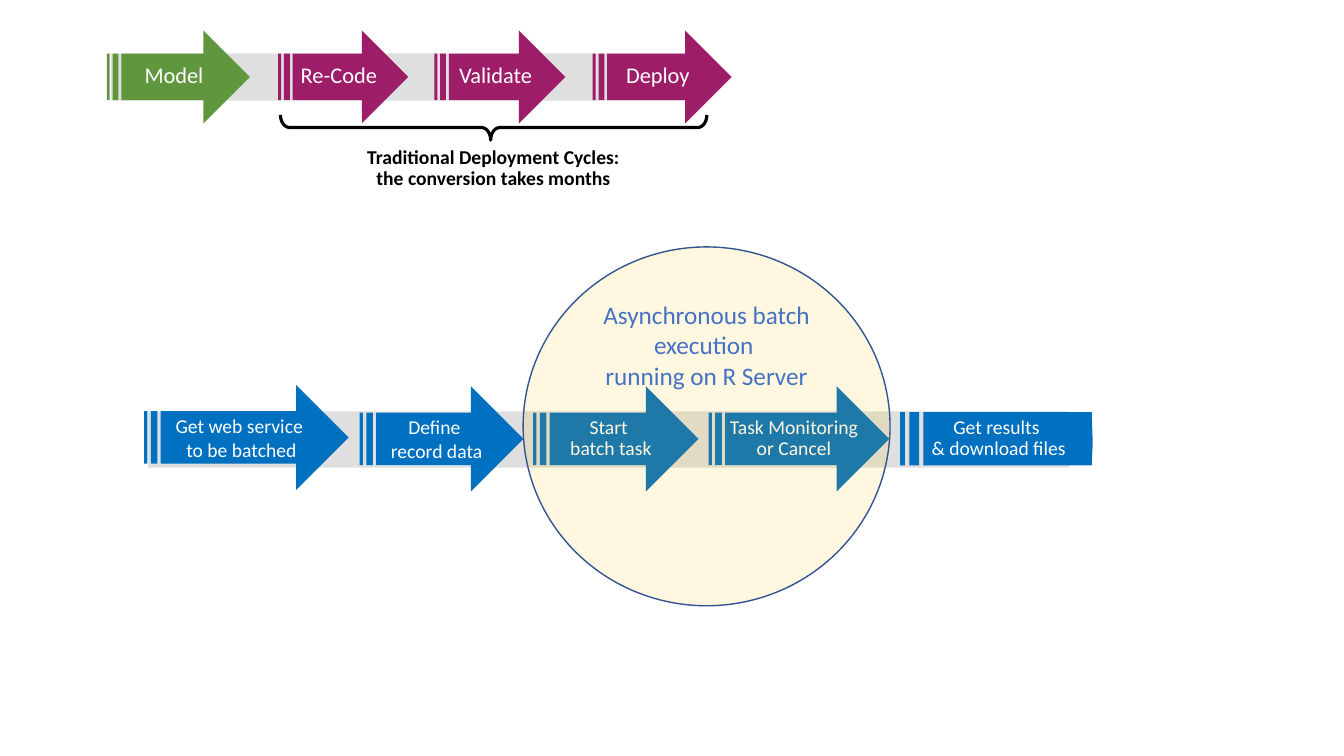
from pptx import Presentation
from pptx.dml.color import RGBColor
from pptx.enum.shapes import MSO_SHAPE
from pptx.enum.text import MSO_ANCHOR, MSO_AUTO_SIZE, PP_ALIGN
from pptx.oxml.ns import qn
from pptx.util import Pt

GREEN, PURPLE, BLUE, GREY = "60963D", "9D1D69", "0070C0", "BFBFBF"
WHITE, BLACK, GOLD, NAVY, INDIGO = "FFFFFF", "000000", "FFC000", "325491", "4472C4"


def colour(value):
    return RGBColor.from_string(value)


class Diagram:
    """Draws flow elements on a slide; all lengths are in points."""

    font = "Calibri"

    def __init__(self, slide):
        self.slide = slide
        self.target = slide.shapes

    def start_group(self):
        self.target = self.slide.shapes.add_group_shape().shapes

    def end_group(self):
        self.target = self.slide.shapes

    def paint(self, shape, fill=None, opacity=100, line=None, weight=1):
        shape.shadow.inherit = False
        if fill:
            shape.fill.solid()
            shape.fill.fore_color.rgb = colour(fill)
            if opacity < 100:
                hue = shape.element.spPr.find(qn("a:solidFill"))[0]
                alpha = hue.makeelement(qn("a:alpha"), {"val": str(opacity * 1000)})
                hue.append(alpha)
        else:
            shape.fill.background()
        if line:
            shape.line.color.rgb = colour(line)
            shape.line.width = Pt(weight)
        else:
            shape.line.fill.background()

    def preset(self, kind, box, **paint):
        shape = self.target.add_shape(kind, *map(Pt, box))
        self.paint(shape, **paint)
        return shape

    def label(self, shape, text, size, ink=WHITE, margins=(0, 0, 0, 0),
              anchor=MSO_ANCHOR.MIDDLE, spacing=None, bold=None, after=None):
        frame = shape.text_frame
        frame.word_wrap = True
        frame.vertical_anchor = anchor
        (frame.margin_left, frame.margin_top,
         frame.margin_right, frame.margin_bottom) = map(Pt, margins)
        frame.text = text
        for paragraph in frame.paragraphs:
            paragraph.alignment = PP_ALIGN.CENTER
            paragraph.line_spacing = spacing
            if after is not None:
                paragraph.space_after = Pt(after)
            font = paragraph.font
            font.name, font.size, font.bold = self.font, Pt(size), bold
            font.color.rgb = colour(ink)

    def band(self, *box):
        self.preset(MSO_SHAPE.RECTANGLE, box, fill=GREY, opacity=49)

    def arrow(self, box, fill, text, size, **style):
        step = self.preset(MSO_SHAPE.STRIPED_RIGHT_ARROW, box, fill=fill)
        self.label(step, text, size, **style)

    def brace(self, box, adjustments):
        brace = self.preset(MSO_SHAPE.RIGHT_BRACE, box, line=BLACK, weight=2.25)
        brace.rotation = 90
        for index, value in enumerate(adjustments):
            brace.adjustments[index] = value

    def caption(self, box, text, size, **style):
        caption = self.target.add_textbox(*map(Pt, box))
        self.label(caption, text, size, **style)
        caption.text_frame.auto_size = MSO_AUTO_SIZE.SHAPE_TO_FIT_TEXT

    def outline(self, contours, fill, text, size, **style):
        """Draw one shape made of several closed contours."""
        points = [[(Pt(x), Pt(y)) for x, y in contour] for contour in contours]
        builder = self.target.build_freeform(*points[0][0], scale=1.0)
        for index, (start, *rest) in enumerate(points):
            if index:
                builder.move_to(*start)
            builder.add_line_segments(rest, close=True)
        shape = builder.convert_to_shape()
        self.paint(shape, fill=fill)
        self.label(shape, text, size, **style)

    def circle(self, box, text, size, **style):
        circle = self.preset(MSO_SHAPE.OVAL, box, fill=GOLD, opacity=12, line=NAVY)
        self.label(circle, text, size, **style)


def draw_traditional_cycle(diagram):
    diagram.band(79.2, 38.2, 414, 33.8)
    for step, left, width, fill in (
        ("Model", 76.3, 102.2, GREEN),
        ("Re-Code", 198.7, 92.9, PURPLE),
        ("Validate", 310.3, 93.6, PURPLE),
        ("Deploy", 423.4, 99.2, PURPLE),
    ):
        diagram.arrow((left, 21.8, width, 66.4), fill, step, 16, spacing=0.9,
                      margins=(0, 7.2, 0, 11.5), anchor=MSO_ANCHOR.TOP)
    diagram.brace((343.6, -61.2, 18, 304.6), (0.362, 0.507))
    diagram.caption((200.2, 93.6, 304.6, 53.3),
                    "Traditional Deployment Cycles:\vthe conversion takes months",
                    14, ink=BLACK, margins=(14.4, 11.5, 14.4, 11.5),
                    anchor=MSO_ANCHOR.TOP, spacing=0.9, bold=True, after=5.9)


def draw_batch_flow(diagram):
    diagram.start_group()
    diagram.band(105.8, 293.8, 658, 40.3)
    for step, left, top, width, spacing in (
        ("Get web service \vto be batched", 103, 275, 146, None),
        ("Define \vrecord data", 257, 276, 116.9, None),
        ("Start \vbatch task", 380.9, 276, 118, 0.9),
        ("Task Monitoring or Cancel", 506.2, 276, 128.9, 0.9),
    ):
        diagram.arrow((left, top, width, 75), BLUE, step, 14, spacing=spacing)

    top, bottom = 294.4, 332.4
    stripes = [[(left, top), (right, top), (right, bottom), (left, bottom)]
               for left, right in ((643, 646.4), (649.6, 656.6))]
    body = [(659.6, top), (779.8, top), (780.5, 316.8), (779.8, bottom), (659.6, bottom)]
    diagram.outline([*stripes, body], BLUE, "Get results\n & download files", 14,
                    spacing=0.9)
    diagram.end_group()
    diagram.circle((373.7, 176.4, 262.1, 256.3),
                   "Asynchronous batch execution \vrunning on R Server", 18,
                   ink=INDIGO, margins=(7.2, 0, 7.2, 0), anchor=MSO_ANCHOR.TOP)


def main():
    deck = Presentation()
    deck.slide_width, deck.slide_height = Pt(960), Pt(540)
    diagram = Diagram(deck.slides.add_slide(deck.slide_layouts[6]))
    draw_traditional_cycle(diagram)
    draw_batch_flow(diagram)
    deck.save("out.pptx")


if __name__ == "__main__":
    main()
